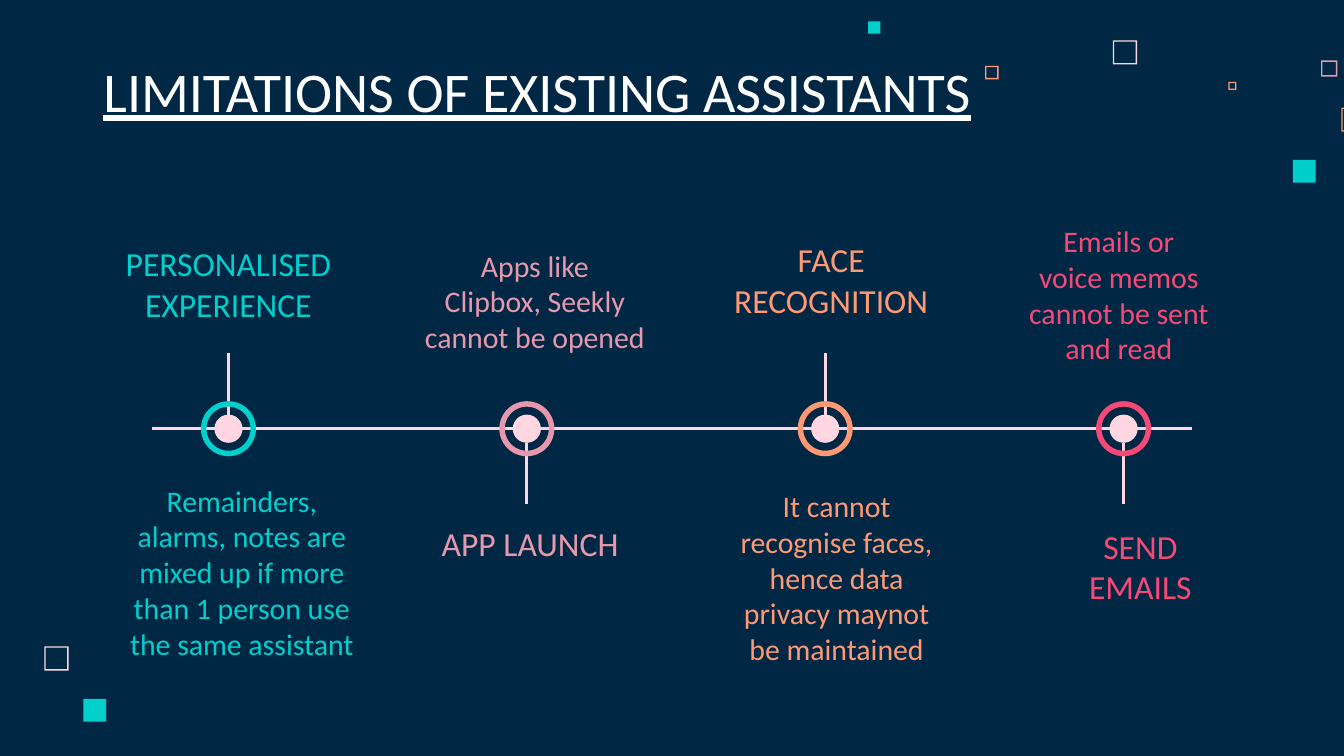
from lxml.etree import SubElement
from pptx import Presentation
from pptx.dml.color import RGBColor
from pptx.enum.shapes import MSO_CONNECTOR, MSO_SHAPE
from pptx.enum.text import MSO_ANCHOR, MSO_AUTO_SIZE, PP_ALIGN
from pptx.oxml.ns import qn
from pptx.util import Inches, Pt

THEME = {
    "font": "Calibri",
    "navy": "002845", "white": "FFFFFF", "blush": "FFD6E1",
    "teal": "00CFCC", "rose": "E898AC", "orange": "FF9973", "pink": "F64975",
    "title": 30, "heading": 18, "body": 16, "line": 1.5,
}

TITLE = "LIMITATIONS OF EXISTING ASSISTANTS"

LIMITATIONS = [
    {"heading": "PERSONALISED EXPERIENCE", "heading_box": (0.67, 1.71, 2.06, 0.92),
     "body": "Remainders, alarms, notes are mixed up if more than 1 person use the same assistant",
     "body_box": (0.85, 3.55, 1.9, 1.41), "fill": "teal", "way": -1},
    {"heading": "APP LAUNCH", "heading_box": (3.16, 3.79, 1.57, 0.83),
     "body": "Apps like\vClipbox, Seekly cannot be opened",
     "body_box": (3.03, 1.54, 1.9, 1.4), "fill": "rose", "way": 1},
    {"heading": "FACE RECOGNITION", "heading_box": (5.32, 1.68, 1.73, 0.7),
     "body": "It cannot recognise faces, hence data privacy maynot be maintained",
     "body_box": (5.39, 3.59, 1.67, 1.41), "fill": "orange", "way": -1},
    {"heading": "SEND EMAILS", "heading_box": (7.86, 3.81, 1.25, 0.76),
     "body": "Emails or\vvoice memos cannot be sent and read",
     "body_box": (7.54, 1.54, 1.57, 1.3), "fill": "pink", "way": 1},
]

HOLLOW_SQUARES = [
    (8.28, 0.3, 0.18, "blush"),
    (9.83, 0.45, 0.12, "rose"),
    (9.14, 0.61, 0.06, "orange"),
    (9.98, 0.8, 0.18, "orange"),
    (7.33, 0.49, 0.1, "orange"),
    (0.33, 4.81, 0.18, "blush"),
]
SOLID_SQUARES = [
    (9.62, 1.19, 0.17, "teal"),
    (6.46, 0.16, 0.09, "teal"),
    (0.62, 5.2, 0.17, "teal"),
]

AXIS_Y, AXIS_LEFT, AXIS_RIGHT = 3.19, 1.13, 8.87
FIRST_X, PITCH = 1.7, 2.22
DOT, RING, STEM_END = 0.21, 0.41, 0.56
FRAME_LINE = 0.01


def color(name):
    return RGBColor.from_string(THEME[name])


def add_shape(s, kind, x, y, side, fill, adjust=None):
    sp = s.shapes.add_shape(kind, Inches(x), Inches(y), Inches(side), Inches(side))
    sp.shadow.inherit = False
    sp.fill.solid()
    sp.fill.fore_color.rgb = color(fill)
    sp.line.fill.background()
    if adjust is not None:
        sp.adjustments[0] = adjust


def add_line(s, x1, y1, x2, y2):
    cn = s.shapes.add_connector(
        MSO_CONNECTOR.STRAIGHT, Inches(x1), Inches(y1), Inches(x2), Inches(y2))
    cn.line.color.rgb = color("blush")
    cn.line.width = Pt(THEME["line"])
    SubElement(cn._element.spPr, qn("a:effectLst"))


def set_text(sp, box, text, size, fill, anchor, align=PP_ALIGN.CENTER, underline=None):
    sp.left, sp.top, sp.width, sp.height = map(Inches, box)
    tf = sp.text_frame
    tf.word_wrap = True
    tf.auto_size = MSO_AUTO_SIZE.NONE
    tf.vertical_anchor = anchor
    tf.margin_left = tf.margin_right = tf.margin_top = tf.margin_bottom = Inches(0.1)
    p = tf.paragraphs[0]
    p.text = text
    p.alignment = align
    for r in p.runs:
        r.font.name = THEME["font"]
        r.font.size = Pt(THEME[size])
        r.font.color.rgb = color(fill)
        r.font.underline = underline


def add_text(s, box, *style):
    set_text(s.shapes.add_textbox(*map(Inches, box)), box, *style)


prs = Presentation()
prs.slide_width = Inches(10)
prs.slide_height = prs.slide_width * 9 // 16
s = prs.slides.add_slide(prs.slide_layouts[5])
s.background.fill.solid()
s.background.fill.fore_color.rgb = color("navy")

set_text(s.shapes.title, (0.67, 0.14, 7.49, 0.88), TITLE, "title", "white",
         MSO_ANCHOR.BOTTOM, PP_ALIGN.LEFT, True)

for x, y, side, fill in HOLLOW_SQUARES:
    add_shape(s, MSO_SHAPE.FRAME, x, y, side, fill, FRAME_LINE / side)
for x, y, side, fill in SOLID_SQUARES:
    add_shape(s, MSO_SHAPE.RECTANGLE, x, y, side, fill)

add_line(s, AXIS_LEFT, AXIS_Y, AXIS_RIGHT, AXIS_Y)
for i, item in enumerate(LIMITATIONS):
    x = FIRST_X + i * PITCH
    fill, way = item["fill"], item["way"]
    add_line(s, x, AXIS_Y + way * DOT / 2, x, AXIS_Y + way * STEM_END)
    add_shape(s, MSO_SHAPE.OVAL, x - DOT / 2, AXIS_Y - DOT / 2, DOT, "blush")
    add_shape(s, MSO_SHAPE.DONUT, x - RING / 2, AXIS_Y - RING / 2, RING, fill, 0.1)
    add_text(s, item["heading_box"], item["heading"], "heading", fill, MSO_ANCHOR.TOP)
    add_text(s, item["body_box"], item["body"], "body", fill, MSO_ANCHOR.MIDDLE)

prs.save("out.pptx")
